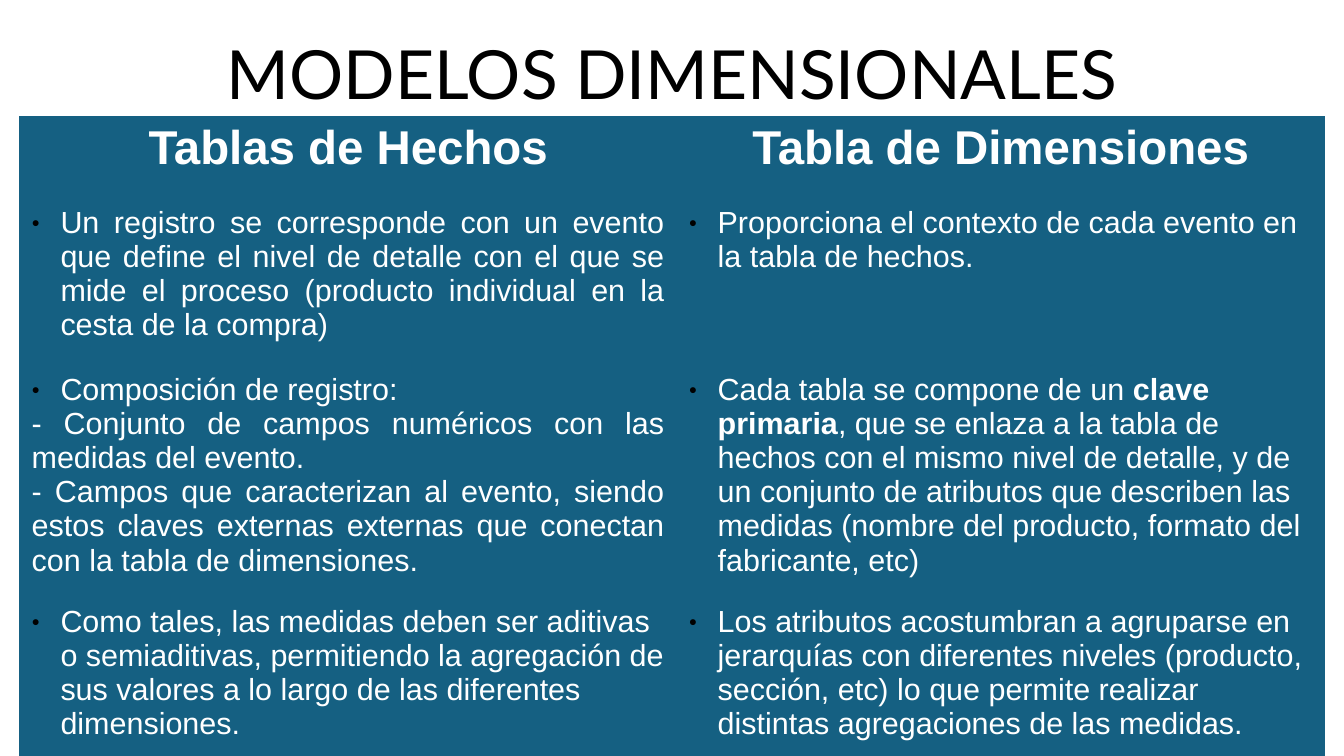
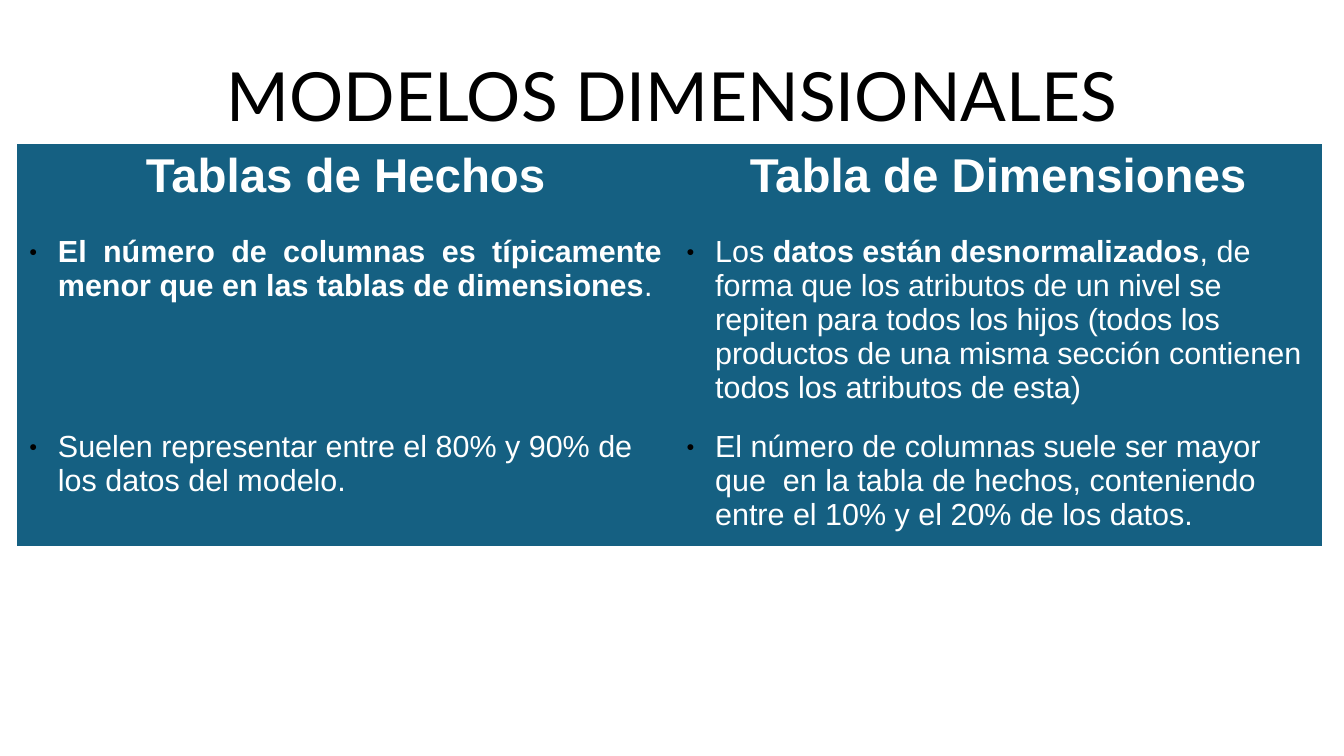
from lxml import etree
from pptx import Presentation
from pptx.dml.color import RGBColor
from pptx.enum.text import MSO_ANCHOR, PP_ALIGN
from pptx.oxml.ns import qn
from pptx.util import Pt

LEFT, CENTER, JUSTIFY = PP_ALIGN.LEFT, PP_ALIGN.CENTER, PP_ALIGN.JUSTIFY
MIDDLE = MSO_ANCHOR.MIDDLE
PLAIN_TABLE = "{2D5ABB26-0587-4C30-8999-92F81FD0307C}"
BLANK = 6

TITLE = "MODELOS DIMENSIONALES"
HEADINGS = ("Tablas de Hechos", "Tabla de Dimensiones")


def color(value):
    return RGBColor.from_string(value)


class Builder:
    """Shared style and the slide being filled."""

    TITLE_FONT, BODY_FONT = "Lato", "Arial"
    TITLE_SIZE, HEADING_SIZE, BODY_SIZE = 40, 28, 18
    BLACK, WHITE, BLUE = "000000", "FFFFFF", "156082"
    COLUMNS = (388, 382.5)
    INDENT = 17

    def __init__(self, deck):
        self.deck = deck
        self.slide = None

    def new_slide(self):
        self.slide = self.deck.slides.add_slide(self.deck.slide_layouts[BLANK])

    def title(self, top):
        box = self.slide.shapes.add_textbox(Pt(39.6), Pt(top), Pt(714.2), Pt(75))
        frame = box.text_frame
        frame.word_wrap = True
        frame.vertical_anchor = MIDDLE
        frame.margin_left = frame.margin_right = 0
        frame.margin_top = frame.margin_bottom = 0
        self.fill_paragraph(frame.paragraphs[0], TITLE, CENTER, self.TITLE_FONT,
                            self.TITLE_SIZE, self.BLACK)

    def fill_paragraph(self, para, text, align, font, size, ink, bold=False):
        """Fill a paragraph; parts between ** marks are bold."""
        para.alignment = align
        para.font.name = font
        para.font.size = Pt(size)
        para.font.color.rgb = color(ink)
        para.font.bold = bold
        for number, part in enumerate(text.split("**")):
            if part:
                span = para.add_run()
                span.text = part
                if number % 2:
                    span.font.bold = True

    def bullet(self, para):
        properties = para._p.get_or_add_pPr()
        properties.set("marL", str(Pt(self.INDENT)))
        properties.set("indent", str(-Pt(self.INDENT)))
        tint = etree.SubElement(properties, qn("a:buClr"))
        etree.SubElement(tint, qn("a:srgbClr"), val=self.BLACK)
        etree.SubElement(properties, qn("a:buSzPct"), val="45000")
        etree.SubElement(properties, qn("a:buFont"), typeface=self.BODY_FONT)
        etree.SubElement(properties, qn("a:buChar"), char="●")

    def fill_cell(self, cell, items):
        """The first item is bulleted; the others follow as plain text."""
        frame = cell.text_frame
        for number, (text, align) in enumerate(items):
            para = frame.add_paragraph() if number else frame.paragraphs[0]
            if not number:
                self.bullet(para)
            self.fill_paragraph(para, text, align, self.BODY_FONT,
                                self.BODY_SIZE, self.WHITE)

    def comparison(self, left, top, heights, rows):
        holder = self.slide.shapes.add_table(
            len(heights), len(self.COLUMNS), Pt(left), Pt(top),
            Pt(sum(self.COLUMNS)), Pt(sum(heights)))
        for style in holder.element.iter(qn("a:tableStyleId")):
            style.text = PLAIN_TABLE
        table = holder.table
        table.first_row = table.horz_banding = False
        for column, width in zip(table.columns, self.COLUMNS):
            column.width = Pt(width)
        for row, height in zip(table.rows, heights):
            row.height = Pt(height)
        for cell in table.iter_cells():
            cell.fill.solid()
            cell.fill.fore_color.rgb = color(self.BLUE)

        # Heading row
        for cell, heading in zip(table.rows[0].cells, HEADINGS):
            self.fill_paragraph(cell.text_frame.paragraphs[0], heading, CENTER,
                                self.BODY_FONT, self.HEADING_SIZE, self.WHITE,
                                bold=True)

        # Body rows
        for number, contents in enumerate(rows, start=1):
            for cell, items in zip(table.rows[number].cells, contents):
                self.fill_cell(cell, items)


RECORD_ROWS = [
    ([("Un registro se corresponde con un evento que define el nivel de detalle "
       "con el que se mide el proceso (producto individual en la cesta de la compra)",
       JUSTIFY)],
     [("Proporciona el contexto de cada evento en la tabla de hechos.", LEFT)]),
    ([("Composición de registro:", LEFT),
      ("- Conjunto de campos numéricos con las medidas del evento.", JUSTIFY),
      ("- Campos que caracterizan al evento, siendo estos claves externas externas "
       "que conectan con la tabla de dimensiones.", JUSTIFY)],
     [("Cada tabla se compone de un **clave primaria**, que se enlaza a la tabla de "
       "hechos con el mismo nivel de detalle, y de un conjunto de atributos que "
       "describen las medidas (nombre del producto, formato del fabricante, etc)",
       LEFT)]),
    ([("Como tales, las medidas deben ser aditivas o semiaditivas, permitiendo la "
       "agregación de sus valores a lo largo de las diferentes dimensiones.", LEFT)],
     [("Los atributos acostumbran a agruparse en jerarquías con diferentes niveles "
       "(producto, sección, etc) lo que permite realizar distintas agregaciones de "
       "las medidas.", LEFT)]),
]

SIZE_ROWS = [
    ([("**El número de columnas es típicamente menor que en las tablas de "
       "dimensiones**.", JUSTIFY)],
     [("Los **datos están desnormalizados**, de forma que los atributos de un nivel "
       "se repiten para todos los hijos (todos los productos de una misma sección "
       "contienen todos los atributos de esta)", LEFT)]),
    ([("Suelen representar entre el 80% y 90% de los datos del modelo.", LEFT)],
     [("El número de columnas suele ser mayor que  en la tabla de hechos, conteniendo "
       "entre el 10% y el 20% de los datos.", LEFT)]),
]


def main():
    deck = Presentation()
    deck.slide_width, deck.slide_height = Pt(793.44), Pt(446.4)
    builder = Builder(deck)

    # Slide 1: records and attributes
    builder.new_slide()
    builder.title(5)
    builder.comparison(11.5, 68.5, (49.5, 98.5, 133.5, 91.5), RECORD_ROWS)

    # Slide 2: columns and data volume
    builder.new_slide()
    builder.title(18)
    builder.comparison(10, 85, (50, 114, 71), SIZE_ROWS)

    deck.save("out.pptx")


if __name__ == "__main__":
    main()
